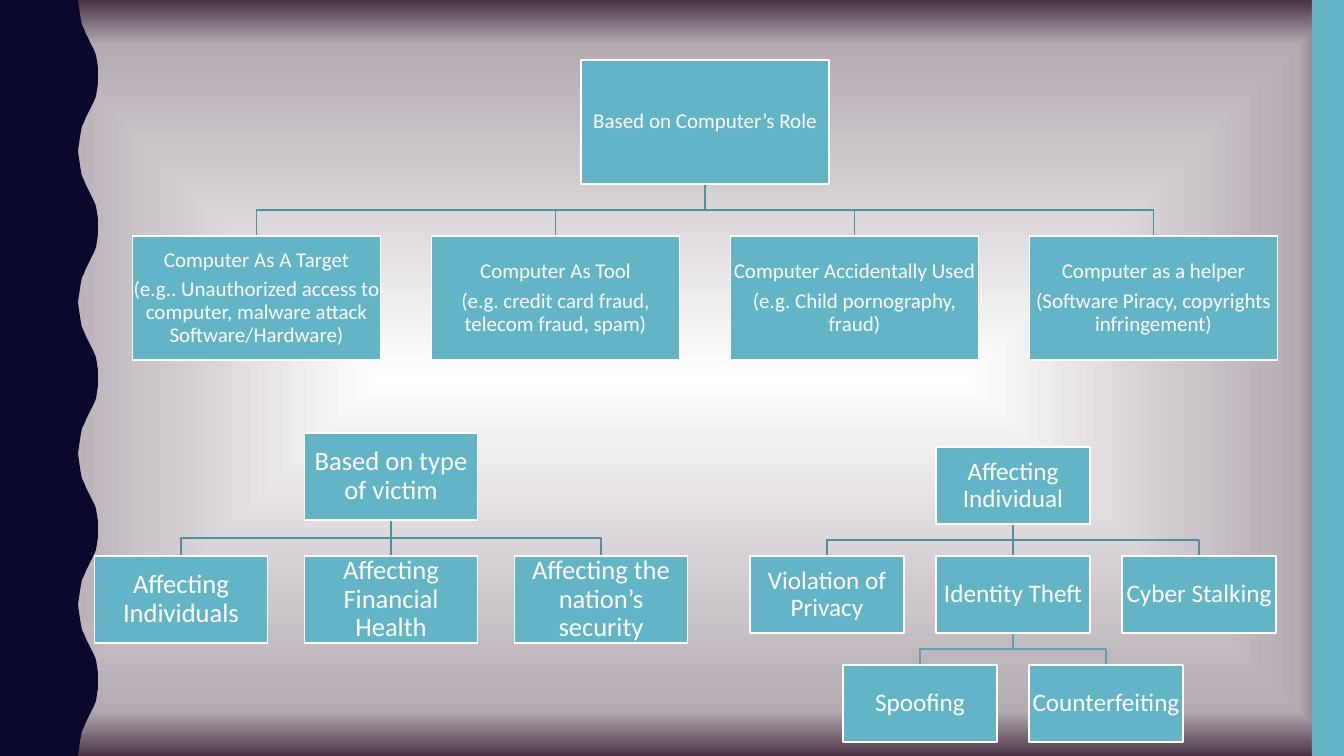
from pptx import Presentation
from pptx.dml.color import RGBColor
from pptx.enum.shapes import MSO_CONNECTOR, MSO_SHAPE
from pptx.enum.text import MSO_ANCHOR, PP_ALIGN
from pptx.oxml import parse_xml
from pptx.oxml.ns import nsdecls, qn
from pptx.util import Emu, Pt

W, H = 1344, 756
SCALE = 12192000 / W
FONT = "Calibri"
COLORS = {
    "navy": "0B082E",
    "teal": "62B4C6",
    "white": "FFFFFF",
    "line": "4E909F",
    "sub_line": "59A3B4",
    "mauve": "B5ABB3",
    "plum": "4B3245",
}
LEVEL_LINES = ["line", "sub_line"]

# Left edge: one half wave, mirrored and repeated down the slide
WAVES = 5
HALF_WAVE = [(78, 0), (79, 7), (80, 14), (81, 20), (82, 25), (84, 29), (86, 34),
             (88, 38), (90, 42), (92, 46), (94, 50), (96, 55), (97, 61), (98, 68),
             (98, 76)]


def px(n):
    return Emu(round(n * SCALE))


def rgb(name):
    return RGBColor.from_string(COLORS[name])


def set_background(s):
    s.background.fill.gradient()
    grad = s.element.find(".//" + qn("a:gradFill"))
    grad.getparent().replace(grad, parse_xml(
        f'<a:gradFill {nsdecls("a")} rotWithShape="1"><a:gsLst>'
        f'<a:gs pos="0"><a:srgbClr val="{COLORS["white"]}"/></a:gs>'
        f'<a:gs pos="88000"><a:srgbClr val="{COLORS["mauve"]}">'
        '<a:alpha val="96000"/></a:srgbClr></a:gs>'
        f'<a:gs pos="100000"><a:srgbClr val="{COLORS["plum"]}"/></a:gs></a:gsLst>'
        '<a:path path="shape"><a:fillToRect l="50000" t="50000" r="50000" b="50000"/>'
        '</a:path></a:gradFill>'))


def add_outline(s, points, close):
    points = [(px(x), px(y)) for x, y in points]
    builder = s.shapes.build_freeform(*points[0])
    builder.add_line_segments(points[1:], close=close)
    sp = builder.convert_to_shape()
    sp.shadow.inherit = False
    return sp


def add_wavy_edge(s):
    period = H / WAVES
    wave = HALF_WAVE + [(x, period - y) for x, y in HALF_WAVE[-2::-1]]
    edge = [(x, y + i * period) for i in range(WAVES) for x, y in wave]
    sp = add_outline(s, [(0, 0), *edge, (0, H)], close=True)
    sp.fill.solid()
    sp.fill.fore_color.rgb = rgb("navy")
    sp.line.fill.background()


def add_rect(s, x, y, w, h, line=None):
    sp = s.shapes.add_shape(MSO_SHAPE.RECTANGLE, px(x), px(y), px(w), px(h))
    sp.shadow.inherit = False
    sp.fill.solid()
    sp.fill.fore_color.rgb = rgb("teal")
    if line:
        sp.line.color.rgb = rgb(line)
        sp.line.width = Pt(1)
    else:
        sp.line.fill.background()
    return sp


def write_text(tf, text, size, color="white", space=5):
    tf.word_wrap = True
    tf.vertical_anchor = MSO_ANCHOR.MIDDLE
    tf.margin_left = tf.margin_right = tf.margin_top = tf.margin_bottom = px(1)
    for i, line in enumerate(text.split("\n")):
        p = tf.add_paragraph() if i else tf.paragraphs[0]
        p.alignment = PP_ALIGN.CENTER
        p.line_spacing = 0.9
        p.space_before = Pt(space if i else 0)
        r = p.add_run()
        r.text = line
        r.font.name = FONT
        r.font.size = Pt(size)
        r.font.color.rgb = rgb(color)


def add_branch(s, x1, y1, x2, y2, color):
    if x1 == x2:
        sp = s.shapes.add_connector(MSO_CONNECTOR.STRAIGHT, px(x1), px(y1), px(x2), px(y2))
        sp._element.spPr.append(parse_xml(f'<a:effectLst {nsdecls("a")}/>'))
    else:
        mid = (y1 + y2) / 2
        sp = add_outline(s, [(x1, y1), (x1, mid), (x2, mid), (x2, y2)], close=False)
        sp.fill.background()
    sp.line.color.rgb = rgb(color)
    sp.line.width = Pt(1)


def add_tree(s, cx, top, w, h, gap_x, gap_y, size, levels):
    """Each level is centred on cx and hangs from the middle box above it."""
    boxes = []
    for depth, labels in enumerate(levels):
        y = top + depth * (h + gap_y)
        for i, label in enumerate(labels):
            x = cx + (i - (len(labels) - 1) / 2) * (w + gap_x)
            boxes.append((x, y, label))
            if depth:
                add_branch(s, cx, y - gap_y, x, y, LEVEL_LINES[depth - 1])
    for x, y, label in boxes:
        sp = add_rect(s, x - w / 2, y, w, h, line="white")
        write_text(sp.text_frame, label, size)


def main():
    prs = Presentation()
    prs.slide_width, prs.slide_height = px(W), px(H)
    s = prs.slides.add_slide(prs.slide_layouts[6])

    # Backdrop
    set_background(s)
    add_wavy_edge(s)
    add_rect(s, 1312, 0, 32, H)

    # Crimes by the computer's role
    add_tree(s, 705, 60, 248, 124, 51, 52, 15, [
        ["Based on Computer’s Role"],
        ["Computer As A Target\n(e.g.. Unauthorized access to computer, "
         "malware attack Software/Hardware)",
         "Computer As Tool\n(e.g. credit card fraud, telecom fraud, spam)",
         "Computer Accidentally Used\n(e.g. Child pornography, fraud)",
         "Computer as a helper\n(Software Piracy, copyrights infringement)"],
    ])

    # Crimes by type of victim
    add_tree(s, 391, 433, 173, 87, 37, 36, 19, [
        ["Based on type of victim"],
        ["Affecting Individuals", "Affecting Financial Health",
         "Affecting the nation’s security"],
    ])

    # Crimes against an individual
    add_tree(s, 1013, 447, 154, 77, 32, 32, 18, [
        ["Affecting Individual"],
        ["Violation of Privacy", "Identity Theft", "Cyber Stalking"],
        ["Spoofing", "Counterfeiting"],
    ])

    prs.save("out.pptx")


if __name__ == "__main__":
    main()
